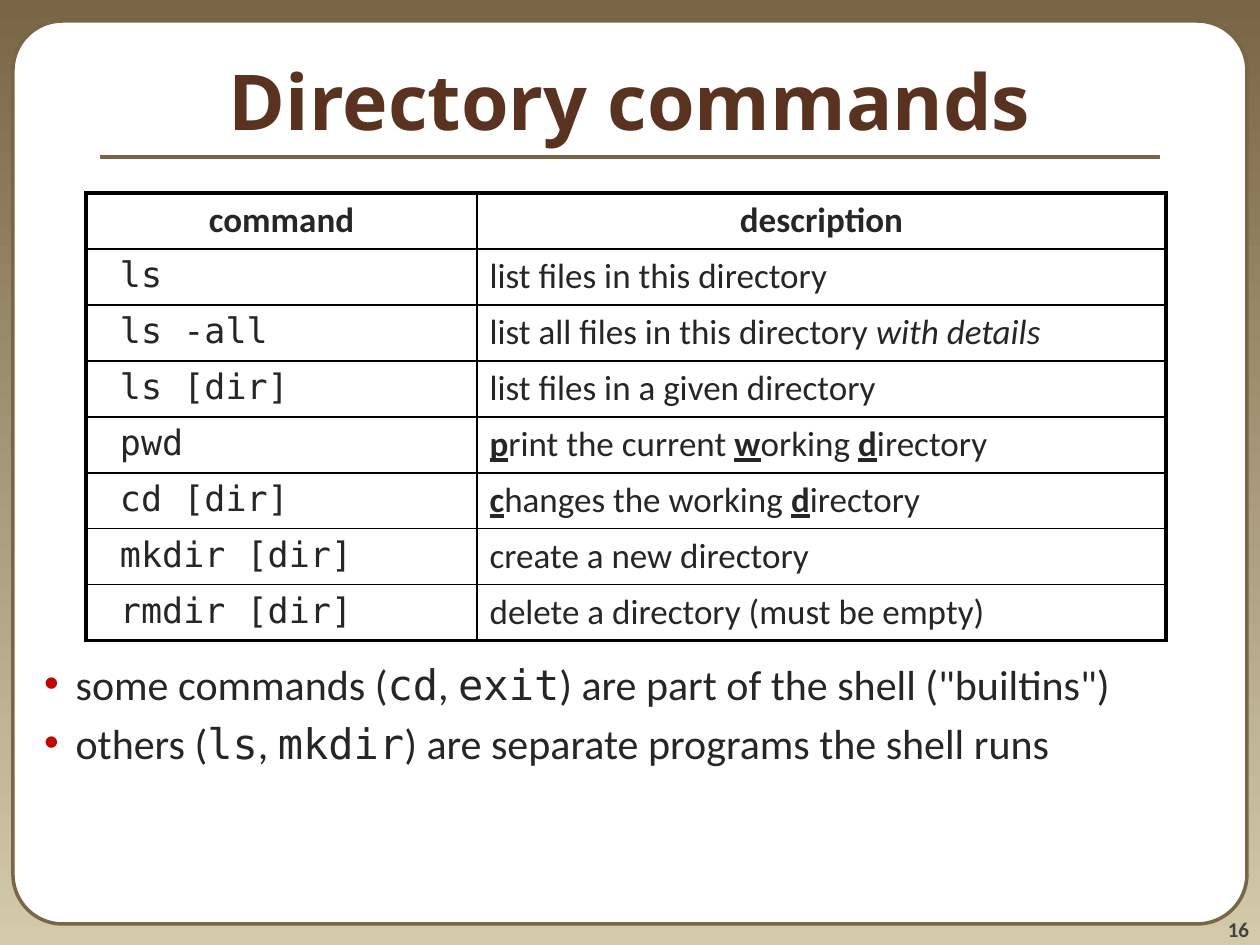
from dataclasses import dataclass

from lxml import etree
from pptx import Presentation
from pptx import util as u
from pptx.dml.color import RGBColor
from pptx.enum import shapes, text
from pptx.oxml import ns

PX = 914400 / 126


@dataclass(frozen=True)
class Theme:
    brown: str = "796646"
    sand: str = "D3CAAA"
    white: str = "FFFFFF"
    title: str = "5A3320"
    ink: str = "262626"
    grey: str = "424242"
    bullet: str = "BD0901"
    border: str = "000000"
    title_font: str = "Noto Sans"
    text_font: str = "Calibri"
    code_font: str = "DejaVu Sans Mono"
    title_size: int = 44
    body_size: int = 24
    table_size: int = 20
    number_size: int = 12
    thin: float = 1
    frame: float = 2
    thick: float = 2.25


THEME = Theme()
CODE = {"font": THEME.code_font}
KEY = {"bold": True, "underline": True}

COMMANDS = [
    ("ls", [("list files in this directory", {})]),
    ("ls -all", [("list all files in this directory ", {}), ("with details", {"italic": True})]),
    ("ls [dir]", [("list files in a given directory", {})]),
    ("pwd", [("p", KEY), ("rint the current ", {}), ("w", KEY), ("orking ", {}),
             ("d", KEY), ("irectory", {})]),
    ("cd [dir]", [("c", KEY), ("hanges the working ", {}), ("d", KEY), ("irectory", {})]),
    ("mkdir [dir]", [("create a new directory", {})]),
    ("rmdir [dir]", [("delete a directory (must be empty)", {})]),
]
NOTES = [
    [("some commands (", {}), ("cd", CODE), (", ", {}), ("exit", CODE),
     (") are part of the shell (\"builtins\")", {})],
    [("others (", {}), ("ls", CODE), (", ", {}), ("mkdir", CODE),
     (") are separate programs the shell runs", {})],
]


def px(length):
    return u.Emu(round(length * PX))


def rgb(color):
    return RGBColor.from_string(color)


def add_text(paragraph, content, font=THEME.text_font, size=THEME.table_size,
             color=THEME.ink, bold=False, italic=False, underline=False):
    run = paragraph.add_run()
    run.text = content
    run.font.name = font
    run.font.size = u.Pt(size)
    run.font.color.rgb = rgb(color)
    run.font.bold = bold
    run.font.italic = italic
    run.font.underline = underline


def place(shape, left, top, width, height):
    shape.left, shape.top = px(left), px(top)
    shape.width, shape.height = px(width), px(height)


def send_to_back(shape):
    shape.element.getparent().insert(2, shape.element)


def set_background(slide):
    fill = slide.background.fill
    fill.gradient()
    fill.gradient_angle = 270
    for stop, color, position in zip(fill.gradient_stops, (THEME.brown, THEME.sand), (0, 1)):
        stop.color.rgb = rgb(color)
        stop.position = position


def add_frame(slide, left, top, width, height):
    """Rounded white page with the rule that runs under the title."""
    rule_y = top + 136
    rule = slide.shapes.add_connector(shapes.MSO_CONNECTOR.STRAIGHT, px(left + 87), px(rule_y),
                                      px(left + width - 87), px(rule_y))
    rule.line.color.rgb = rgb(THEME.brown)
    rule.line.width = u.Pt(THEME.thick)
    etree.SubElement(rule.element.spPr, ns.qn("a:effectLst"))
    send_to_back(rule)

    page = slide.shapes.add_shape(shapes.MSO_SHAPE.ROUNDED_RECTANGLE, px(left), px(top),
                                  px(width), px(height))
    page.adjustments[0] = 0.055
    page.shadow.inherit = False
    page.fill.solid()
    page.fill.fore_color.rgb = rgb(THEME.white)
    page.line.color.rgb = rgb(THEME.brown)
    page.line.width = u.Pt(THEME.frame)
    send_to_back(page)


def add_slide_number(slide, number, left, top, width, height):
    frame = slide.shapes.add_textbox(px(left), px(top), px(width), px(height)).text_frame
    frame.word_wrap = True
    frame.vertical_anchor = text.MSO_ANCHOR.BOTTOM
    frame.margin_left = frame.margin_top = frame.margin_right = frame.margin_bottom = 0
    paragraph = frame.paragraphs[0]
    paragraph.alignment = text.PP_ALIGN.RIGHT
    add_text(paragraph, number, size=THEME.number_size, color=THEME.grey, bold=True)


def fill_title(shape, content, *box):
    place(shape, *box)
    frame = shape.text_frame
    frame.auto_size = text.MSO_AUTO_SIZE.NONE
    frame.vertical_anchor = text.MSO_ANCHOR.MIDDLE
    paragraph = frame.paragraphs[0]
    paragraph.alignment = text.PP_ALIGN.CENTER
    add_text(paragraph, content, font=THEME.title_font, size=THEME.title_size,
             color=THEME.title, bold=True)


def set_bullet(paragraph):
    properties = paragraph._p.get_or_add_pPr()
    properties.set("marL", str(u.Inches(0.5)))
    properties.set("indent", str(u.Inches(-0.25)))
    color = etree.SubElement(properties, ns.qn("a:buClr"))
    etree.SubElement(color, ns.qn("a:srgbClr"), val=THEME.bullet)
    etree.SubElement(properties, ns.qn("a:buChar"), char="•")


def fill_notes(shape, notes, *box):
    place(shape, *box)
    frame = shape.text_frame
    frame.auto_size = text.MSO_AUTO_SIZE.NONE
    for index, pieces in enumerate(notes):
        paragraph = frame.add_paragraph() if index else frame.paragraphs[0]
        paragraph.space_before = u.Pt(THEME.body_size * 0.2)
        set_bullet(paragraph)
        for content, style in pieces:
            add_text(paragraph, content, size=THEME.body_size, **style)


def set_borders(cell, **widths):
    """Draw the cell's sides; keywords L, R, T and B give widths in points."""
    properties = cell._tc.get_or_add_tcPr()
    for index, side in enumerate("LRTB"):
        line = etree.Element(ns.qn(f"a:ln{side}"), w=str(u.Pt(widths[side])))
        fill = etree.SubElement(line, ns.qn("a:solidFill"))
        etree.SubElement(fill, ns.qn("a:srgbClr"), val=THEME.border)
        properties.insert(index, line)


def add_command_table(slide, commands, left, top, column_widths, row_height):
    header = [[(name, {"bold": True})] for name in ("command", "description")]
    rows = [header] + [[[(command, CODE)], description] for command, description in commands]
    last_row, last_column = len(rows) - 1, len(column_widths) - 1
    table = slide.shapes.add_table(len(rows), len(column_widths), px(left), px(top),
                                   px(sum(column_widths)), px(row_height * len(rows))).table
    table.first_row = table.horz_banding = False
    for column, width in zip(table.columns, column_widths):
        column.width = px(width)
    for r, row in enumerate(rows):
        table.rows[r].height = px(row_height)
        for c, pieces in enumerate(row):
            cell = table.cell(r, c)
            cell.fill.background()
            edges = {"L": c == 0, "R": c == last_column, "T": r == 0, "B": r == last_row}
            set_borders(cell, **{side: THEME.thick if outer else THEME.thin
                                 for side, outer in edges.items()})
            paragraph = cell.text_frame.paragraphs[0]
            if r == 0:
                paragraph.alignment = text.PP_ALIGN.CENTER
            elif c == 0:
                cell.margin_left = px(34)
            for content, style in pieces:
                add_text(paragraph, content, **style)


def main():
    presentation = Presentation()
    presentation.slide_width, presentation.slide_height = px(1260), px(945)
    slide = presentation.slides.add_slide(presentation.slide_layouts[1])
    title, body = slide.placeholders
    set_background(slide)
    add_frame(slide, 13, 21, 1234, 903)
    add_slide_number(slide, "16", 1144, 892, 105, 50)
    fill_title(title, "Directory commands", 0, 21, 1260, 158)
    fill_notes(body, NOTES, 0, 652, 1260, 293)
    add_command_table(slide, COMMANDS, 86, 193, (391, 689), 56)
    presentation.save("out.pptx")


if __name__ == "__main__":
    main()
